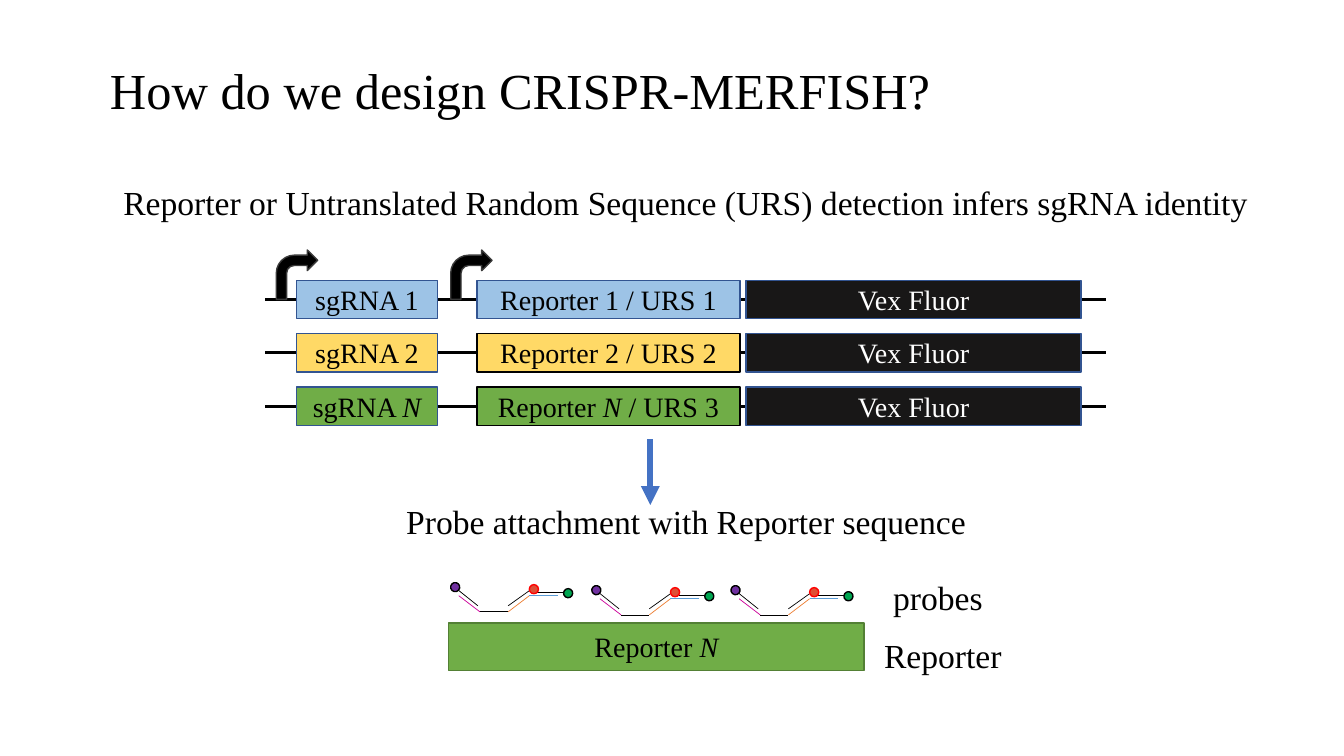
from lxml import etree
from pptx import Presentation
from pptx.dml.color import RGBColor
from pptx.enum.shapes import MSO_CONNECTOR as Link, MSO_SHAPE as Shape
from pptx.enum.text import MSO_ANCHOR as Anchor, PP_ALIGN as Align
from pptx.oxml.ns import qn
from pptx.util import Inches, Pt

FONT = "Times New Roman"
BLACK = RGBColor(0x00, 0x00, 0x00)
WHITE = RGBColor(0xFF, 0xFF, 0xFF)
SKY = RGBColor(0x9D, 0xC3, 0xE6)
GOLD = RGBColor(0xFF, 0xD9, 0x66)
GREEN = RGBColor(0x70, 0xAD, 0x47)
MOSS = RGBColor(0x53, 0x80, 0x35)
NAVY = RGBColor(0x32, 0x54, 0x91)
COAL = RGBColor(0x18, 0x17, 0x17)
GREY = RGBColor(0x3A, 0x3A, 0x3A)
BLUE = RGBColor(0x44, 0x72, 0xC4)
AZURE = RGBColor(0x5B, 0x9B, 0xD5)
ORANGE = RGBColor(0xED, 0x7D, 0x31)
PINK = RGBColor(0xCC, 0x00, 0x99)
BRICK = RGBColor(0xDE, 0x4E, 0x36)
RED = RGBColor(0xFF, 0x00, 0x00)
JADE = RGBColor(0x00, 0xA6, 0x51)
PURPLE = RGBColor(0x70, 0x30, 0xA0)


def write(frame, text, size=24, color=BLACK, align=Align.LEFT,
          anchor=Anchor.TOP, space=1.0):
    """Fill a text frame; parts between asterisks are italic."""
    frame.word_wrap = True
    frame.vertical_anchor = anchor
    para = frame.paragraphs[0]
    para.alignment = align
    para.line_spacing = space
    para.space_before = Pt(0)
    for i, part in enumerate(text.split("*")):
        if part:
            run = para.add_run()
            run.text = part
            font = run.font
            font.name, font.size = FONT, Pt(size)
            font.italic = i % 2 == 1
            font.color.rgb = color


def place(shape, box):
    shape.left, shape.top, shape.width, shape.height = map(Inches, box)


def label(shapes, text, box, **style):
    item = shapes.add_textbox(*map(Inches, box))
    write(item.text_frame, text, **style)
    return item.text_frame


def draw(shapes, kind, box, fill, edge, turn=0):
    item = shapes.add_shape(kind, *map(Inches, box))
    item.shadow.inherit = False
    item.fill.solid()
    item.fill.fore_color.rgb = fill
    item.line.color.rgb = edge
    item.line.width = Pt(1)
    item.rotation = turn
    return item


def block(shapes, text, box, fill, edge, color=BLACK):
    item = draw(shapes, Shape.RECTANGLE, box, fill, edge)
    write(item.text_frame, text, size=20, color=color,
          align=Align.CENTER, anchor=Anchor.MIDDLE)


def line(shapes, start, end, color, width):
    item = shapes.add_connector(Link.STRAIGHT, *map(Inches, start + end))
    item.line.color.rgb = color
    item.line.width = Pt(width)
    etree.SubElement(item._element.spPr, qn("a:effectLst"))
    return item


def header(slide, box):
    # Title and the statement below it
    x, y, w, h = box
    title = slide.shapes.title
    place(title, box)
    title.text_frame.margin_top = 0
    write(title.text_frame, "How do we design CRISPR-MERFISH?", size=36,
          space=0.9)
    frame = label(slide.shapes, "Reporter or Untranslated Random Sequence "
                  "(URS) detection infers sgRNA identity",
                  (x, y + 1.15, w, 0.46), align=Align.CENTER, space=0.9)
    frame.margin_left, frame.margin_right = Inches(0.2), Inches(0.08)


def vectors(slide, box):
    # Three constructs, one per row, on a common backbone
    x, y, w, h = box
    shapes = slide.shapes.add_group_shape().shapes
    pitch, high = 0.53, 0.38
    rows = [("sgRNA 1", "Reporter 1 / URS 1", SKY, NAVY),
            ("sgRNA 2", "Reporter 2 / URS 2", GOLD, BLACK),
            ("sgRNA *N*", "Reporter *N* / URS 3", GREEN, BLACK)]
    for i, (guide, tag, fill, edge) in enumerate(rows):
        top = y + 0.3 + i * pitch
        mid = top + high / 2
        line(shapes, (x, mid), (x + w, mid), BLACK, 2.25)
        block(shapes, guide, (x + 0.31, top, 1.4, high), fill, NAVY)
        block(shapes, tag, (x + 2.1, top, 2.61, high), fill, edge)
        block(shapes, "Vex Fluor", (x + 4.77, top, 3.32, high),
              COAL, NAVY, WHITE)
    # Promoter arrows
    for dx in (0.11, 1.84):
        draw(shapes, Shape.BENT_ARROW, (x + dx, y, 0.41, 0.49), BLACK, GREY)


def step(slide, box):
    # Arrow down to the next stage and its caption
    x, y, w, h = box
    label(slide.shapes, "Probe attachment with Reporter sequence",
          (x, y + 0.56, w, 0.5))
    arrow = line(slide.shapes, (x + 2.52, y), (x + 2.52, y + 0.65), BLUE, 4.5)
    etree.SubElement(arrow.line._get_or_add_ln(), qn("a:tailEnd"),
                     type="triangle")


def probe(slide, x, y):
    # Strands first, then the dyes at their ends
    shapes = slide.shapes.add_group_shape().shapes
    strands = [((0.57, 0.23), (0.78, 0.08), BLACK),
               ((0.29, 0.29), (0.57, 0.29), BLACK),
               ((0.57, 0.29), (0.78, 0.13), ORANGE),
               ((0.29, 0.29), (0.08, 0.13), PINK),
               ((1.06, 0.13), (0.78, 0.13), AZURE),
               ((0.86, 0.1), (1.12, 0.1), BLACK),
               ((0.27, 0.23), (0.07, 0.07), BLACK)]
    for (ax, ay), (bx, by), color in strands:
        line(shapes, (x + ax, y + ay), (x + bx, y + by), color, 0.5)
    dyes = [(0.78, 0.02, BRICK, RED, 0), (1.12, 0.06, JADE, BLACK, 35.6),
            (0, 0, PURPLE, BLACK, 252.9)]
    for dx, dy, fill, edge, turn in dyes:
        draw(shapes, Shape.OVAL, (x + dx, y + dy, 0.09, 0.09),
             fill, edge, turn)


def target(slide, box):
    # Probes above the reporter bar, with labels on the right
    x, y, w, h = box
    for dx, dy in ((0.02, 0), (1.42, 0.03), (2.8, 0.03)):
        probe(slide, x + dx, y + dy)
    block(slide.shapes, "Reporter *N*", (x, y + 0.4, w, 0.47), GREEN, MOSS)
    label(slide.shapes, "probes", (x + w + 0.19, y - 0.11, 1.2, 0.5))
    label(slide.shapes, "Reporter", (x + w + 0.1, y + 0.47, 1.4, 0.5))


def main():
    deck = Presentation()
    deck.slide_width, deck.slide_height = Inches(13.33), Inches(7.5)
    slide = deck.slides.add_slide(deck.slide_layouts[5])
    header(slide, (0.99, 0.65, 11.5, 0.98))
    vectors(slide, (2.63, 2.48, 8.34, 1.74))
    step(slide, (3.93, 4.36, 6.01, 1.06))
    target(slide, (4.45, 5.78, 4.12, 0.87))
    deck.save("out.pptx")


if __name__ == "__main__":
    main()
